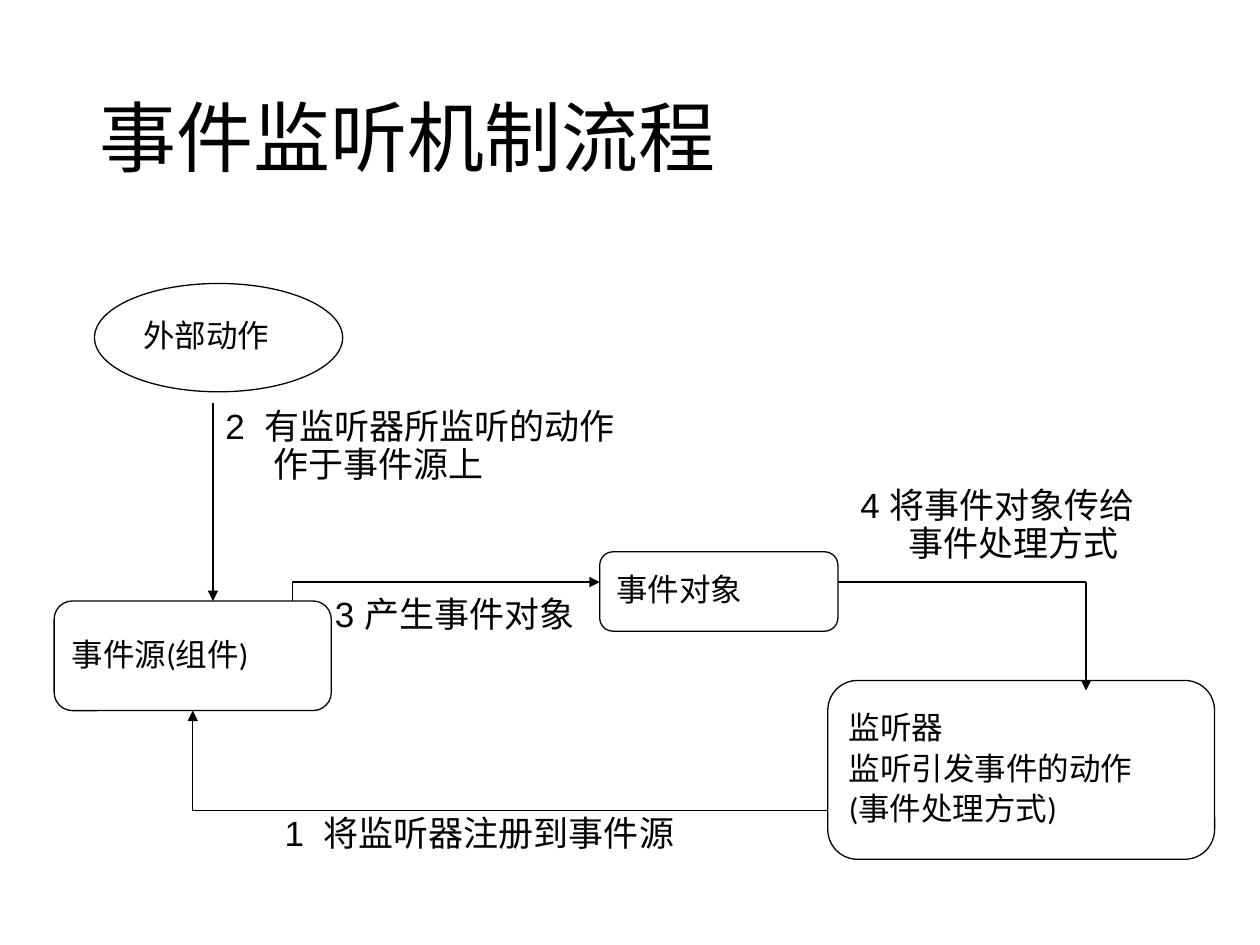
from lxml import etree
from pptx import Presentation
from pptx.dml.color import RGBColor
from pptx.enum.shapes import MSO_CONNECTOR, MSO_SHAPE
from pptx.enum.text import MSO_ANCHOR, MSO_AUTO_SIZE, PP_ALIGN
from pptx.oxml.ns import qn
from pptx.util import Inches, Pt

STRAIGHT, ELBOW = MSO_CONNECTOR.STRAIGHT, MSO_CONNECTOR.ELBOW
ROUNDED, OVAL = MSO_SHAPE.ROUNDED_RECTANGLE, MSO_SHAPE.OVAL
MIDDLE, LEFT = MSO_ANCHOR.MIDDLE, PP_ALIGN.LEFT
GROW = MSO_AUTO_SIZE.SHAPE_TO_FIT_TEXT
BLACK = "000000"
HANGING = Inches(0.38)

NODES = [
    (ROUNDED, (0.43, 4.77, 2.2, 0.87), ["事件源(组件)"]),
    (ROUNDED, (6.57, 5.4, 3.07, 1.42), ["监听器", "监听引发事件的动作", "(事件处理方式)"]),
    (OVAL, (0.75, 2.25, 1.97, 0.86), ["外部动作"]),
    (ROUNDED, (4.76, 4.38, 1.89, 0.63), ["事件对象"]),
]
LABELS = [
    ((2.16, 6.43, 3.39, 0.4), "1  将监听器注册到事件源"),
    ((1.69, 3.2, 3.31, 0.7), "2  有监听器所监听的动作作于事件源上"),
    ((2.56, 4.69, 2.2, 0.4), "3 产生事件对象"),
    ((6.73, 3.83, 2.52, 0.7), "4 将事件对象传给事件处理方式"),
]
ROUTES = [
    [(2.32, 4.77), (2.32, 4.62), (4.76, 4.62)],
    [(6.65, 4.62), (8.62, 4.62), (8.62, 5.48)],
]


def color(value):
    return RGBColor.from_string(value)


def format_paragraph(paragraph, size, font_name):
    paragraph.alignment = LEFT
    paragraph.line_spacing = 0.9
    paragraph.font.size = Pt(size)
    paragraph.font.name = font_name
    paragraph.font.color.rgb = color(BLACK)


def hang_indent(paragraph):
    properties = paragraph._p.get_or_add_pPr()
    properties.set("marL", str(HANGING))
    properties.set("indent", str(-HANGING))


def set_title(slide, box, text):
    title = slide.shapes.title
    title.left, title.top, title.width, title.height = map(Inches, box)
    title.text_frame.text = text
    title.text_frame.vertical_anchor = MIDDLE
    format_paragraph(title.text_frame.paragraphs[0], 44, "Calibri")


def add_node(slide, kind, box, lines):
    shape = slide.shapes.add_shape(kind, *map(Inches, box))
    shape.shadow.inherit = False
    shape.fill.background()
    shape.line.color.rgb = color(BLACK)
    shape.line.width = Pt(0.75)
    frame = shape.text_frame
    frame.word_wrap = False
    frame.vertical_anchor = MIDDLE
    frame.text = "\n".join(lines)
    for paragraph in frame.paragraphs:
        format_paragraph(paragraph, 18, "Calibri")
        hang_indent(paragraph)
        paragraph.space_before = Pt(3.6)


def add_label(slide, box, text):
    frame = slide.shapes.add_textbox(*map(Inches, box)).text_frame
    frame.word_wrap = True
    frame.auto_size = GROW
    frame.text = text
    format_paragraph(frame.paragraphs[0], 20, "Arial")
    hang_indent(frame.paragraphs[0])


def add_line(shapes, start, end, arrow=None, kind=STRAIGHT):
    connector = shapes.add_connector(kind, *map(Inches, (*start, *end)))
    connector.line.color.rgb = color(BLACK)
    connector.line.width = Pt(0.75)
    if arrow:
        line = connector.line._get_or_add_ln()
        etree.SubElement(line, qn(f"a:{arrow}"), type="triangle")
    etree.SubElement(connector._element.spPr, qn("a:effectLst"))
    return connector


def add_route(slide, points):
    group = slide.shapes.add_group_shape()
    for start, end in zip(points, points[1:]):
        arrow = "tailEnd" if end == points[-1] else None
        add_line(group.shapes, start, end, arrow)


def add_registration_line(slide, start, end):
    across, down = end[0] - start[0], end[1] - start[1]
    center_x, center_y = (start[0] + end[0]) / 2, (start[1] + end[1]) / 2
    connector = add_line(
        slide.shapes,
        (center_x - down / 2, center_y - across / 2),
        (center_x + down / 2, center_y + across / 2),
        "headEnd",
        ELBOW,
    )
    properties = connector._element.spPr
    properties.find(qn("a:prstGeom")).set("prst", "bentConnector2")
    transform = properties.find(qn("a:xfrm"))
    transform.set("rot", str(270 * 60000))
    transform.set("flipH", "1")


def add_flow(slide):
    for kind, box, lines in NODES:
        add_node(slide, kind, box, lines)
    add_registration_line(slide, (1.53, 5.64), (6.57, 6.43))
    add_line(slide.shapes, (1.69, 3.2), (1.69, 4.77), "tailEnd")
    for points in ROUTES:
        add_route(slide, points)
    for box, text in LABELS:
        add_label(slide, box, text)


def main():
    presentation = Presentation()
    presentation.slide_width, presentation.slide_height = Inches(10), Inches(7.5)
    slide = presentation.slides.add_slide(presentation.slide_layouts[5])
    set_title(slide, (0.69, 0.4, 8.62, 1.45), "事件监听机制流程")
    add_flow(slide)
    presentation.save("out.pptx")


if __name__ == "__main__":
    main()
